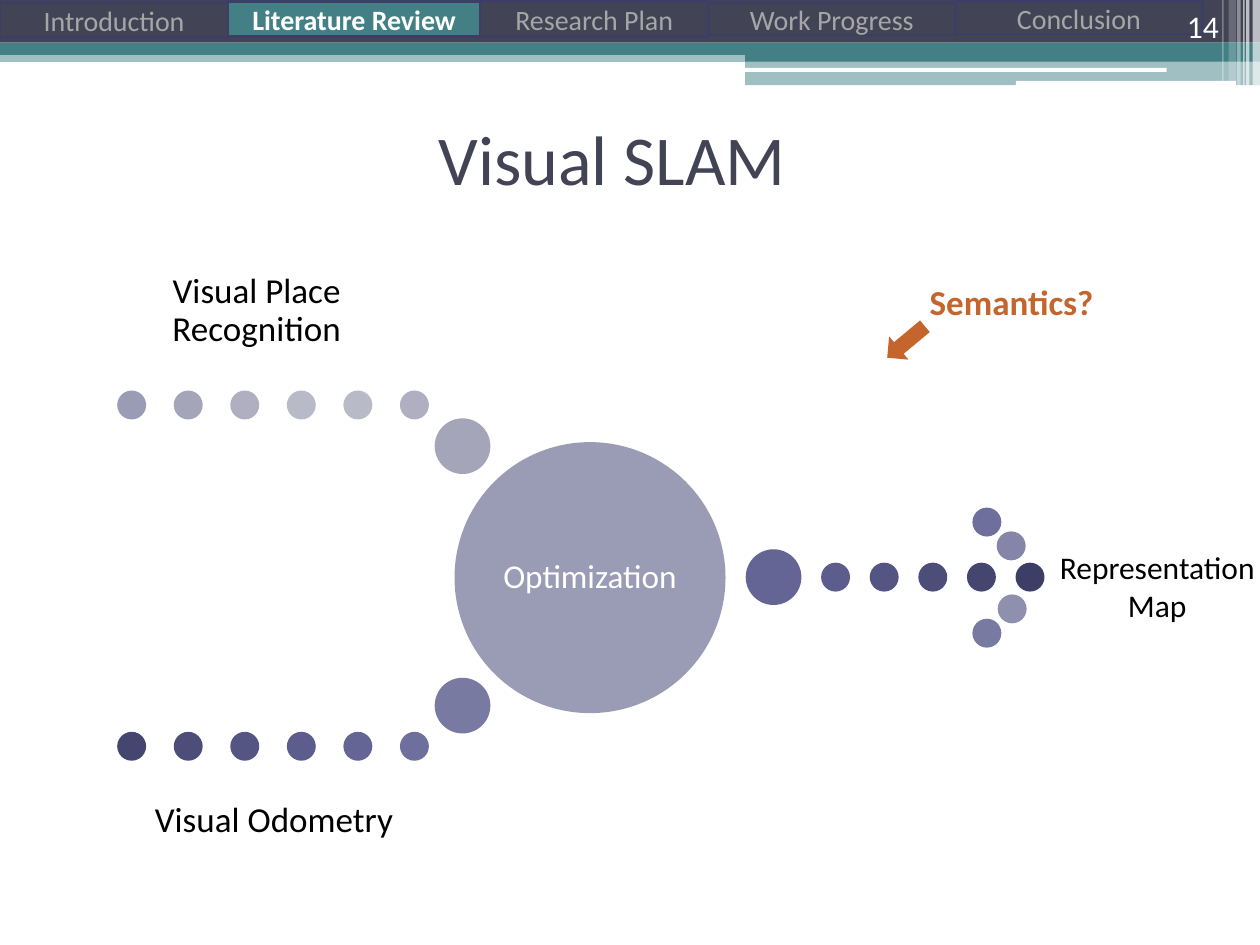
import pptx
import pptx.dml.color
import pptx.enum.shapes
import pptx.enum.text
import pptx.oxml
import pptx.oxml.ns
import pptx.util
from pptx.util import Cm

SHAPE = pptx.enum.shapes.MSO_SHAPE
ALIGN = pptx.enum.text.PP_ALIGN
ANCHOR = pptx.enum.text.MSO_ANCHOR

COLORS = {
    "slate": "424456", "teal": "438086", "white": "FFFFFF", "black": "000000",
    "navy": "3D3E66", "muted": "A6A6A6", "orange": "C4652D",
}
# Dot shades from dark to light
SHADES = ["3D3E66", "454670", "4C4D79", "545583", "5C5D8C", "646595", "6E6F9C",
          "797AA2", "8485A8", "8F90AE", "9A9BB4", "A5A5BA", "AFAFC1", "B9BAC8"]
DOT, JOINT, HUB = 0.53, 1.07, 5.41


def rgb(color):
    return pptx.dml.color.RGBColor.from_string(color)


def within(box, left, top, width, height):
    """Turn a part's place inside a box into a place on the slide."""
    return box[0] + left, box[1] + top, width, height


def add_shape(slide, kind, box, fill=None, line=None, opacity=100):
    shape = slide.shapes.add_shape(kind, *map(Cm, box))
    shape.shadow.inherit = False
    if fill:
        shape.fill.solid()
        shape.fill.fore_color.rgb = rgb(fill)
        if opacity < 100:
            color = shape.fill._xPr.find(".//" + pptx.oxml.ns.qn("a:srgbClr"))
            alpha = pptx.oxml.parse_xml(
                f'<a:alpha {pptx.oxml.ns.nsdecls("a")} val="{opacity * 1000}"/>')
            color.append(alpha)
    else:
        shape.fill.background()
    if line:
        shape.line.color.rgb = rgb(line)
        shape.line.width = pptx.util.Pt(1.5)
    else:
        shape.line.fill.background()
    return shape


def write(shape, text, size, color, align=ALIGN.CENTER, anchor=ANCHOR.MIDDLE,
          bold=False, inset=None, spacing=None):
    frame = shape.text_frame
    frame.word_wrap = True
    frame.vertical_anchor = anchor
    if inset is not None:
        frame.margin_left = frame.margin_right = Cm(inset)
        frame.margin_top = frame.margin_bottom = Cm(inset)
    paragraph = frame.paragraphs[0]
    paragraph.alignment = align
    if spacing:
        paragraph.line_spacing = spacing
    run = paragraph.add_run()
    run.text = text
    run.font.name = "Calibri"
    run.font.size = pptx.util.Pt(size)
    run.font.bold = bold
    run.font.color.rgb = rgb(color)


def add_label(slide, box, text, size, color, **style):
    write(slide.shapes.add_textbox(*map(Cm, box)), text, size, color, **style)


def add_dot(slide, box, left, top, shade, size=DOT):
    color = SHADES[shade]
    add_shape(slide, SHAPE.OVAL, within(box, left, top, size, size), color, color)


def add_banner(slide, box):
    slate, teal, white = COLORS["slate"], COLORS["teal"], COLORS["white"]
    # Bands across the top, then the raised block on the right
    for place, color, opacity in [
        ((0, 1.02, 25.4, 0.23), teal, 50),
        ((0, 0, 25.4, 0.86), slate, 100),
        ((0, 0.86, 25.4, 0.25), teal, 100),
        ((15.02, 0.99, 10.38, 0.25), teal, 100),
        ((15.02, 1.22, 10.38, 0.5), teal, 50),
    ]:
        add_shape(slide, SHAPE.RECTANGLE, within(box, *place), color, opacity=opacity)
    for place in [(15.02, 1.37, 8.5, 0.08), (20.48, 1.63, 4.44, 0.1)]:
        add_shape(slide, SHAPE.ROUNDED_RECTANGLE, within(box, *place), white)
    # Fading stripes at the right edge
    for left, width, height, opacity in [
        (25.25, 0.15, 1.73, 65), (25.12, 0.07, 1.73, 65), (25.06, 0.03, 1.73, 60),
        (24.94, 0.07, 1.73, 40), (24.77, 0.15, 1.63, 20), (24.64, 0.03, 1.63, 30),
    ]:
        add_shape(slide, SHAPE.RECTANGLE, within(box, left, 0, width, height),
                  white, opacity=opacity)


def add_section_tabs(slide, box, current):
    left = 0
    for section, top, width, height in [
        ("Introduction", 0.05, 4.6, 0.71),
        ("Literature Review", 0.03, 5.08, 0.71),
        ("Research Plan", 0.03, 4.6, 0.71),
        ("Work Progress", 0.05, 4.98, 0.66),
        ("Conclusion", 0.03, 4.98, 0.66),
    ]:
        active = section == current
        tab = add_shape(slide, SHAPE.RECTANGLE, within(box, left, top, width, height),
                        COLORS["teal"] if active else None, COLORS["navy"])
        write(tab, section, 16, COLORS["white" if active else "muted"], bold=active)
        left += width


def add_title(slide, box, text):
    title = slide.shapes.title
    title.left, title.top, title.width, title.height = map(Cm, box)
    write(title, text, 40, COLORS["slate"])


def add_input(slide, box, text, label, dots_top, joint_top, shades):
    """A row of dots ending in a larger joint, with its label."""
    *row, joint = shades
    for i, shade in enumerate(row):
        add_dot(slide, box, 1.14 * i, dots_top, shade)
    add_dot(slide, box, 6.4, joint_top, joint, JOINT)
    add_label(slide, within(box, *label), text, 20, COLORS["black"],
              anchor=ANCHOR.BOTTOM, inset=0, spacing=0.9)


def add_hub(slide, box, text):
    add_dot(slide, box, 0, 0, 10, HUB)
    add_label(slide, within(box, 0.79, 0.79, 3.83, 3.83), text, 19, COLORS["white"],
              inset=0.08, spacing=0.9)


def add_output(slide, box, text):
    """A dotted arrow from the hub to the result."""
    add_dot(slide, box, 0, 0.84, 5, JOINT)
    for i in range(5):
        add_dot(slide, box, 1.52 + 0.98 * i, 1.11, 4 - i)
    # Arrowhead wings
    for left, top, shade in [(4.57, 0, 6), (4.57, 2.24, 7), (5.06, 0.48, 8), (5.08, 1.75, 9)]:
        add_dot(slide, box, left, top, shade)
    add_label(slide, within(box, 5.92, 0.66, 4.7, 1.8), text, 18, COLORS["black"],
              anchor=ANCHOR.TOP)


def add_question(slide, box, text):
    add_label(slide, within(box, 0.53, 0, 4.22, 1.12), text, 20, COLORS["orange"],
              align=ALIGN.LEFT, anchor=ANCHOR.TOP, bold=True)
    arrow = add_shape(slide, SHAPE.DOWN_ARROW, within(box, 0, 0.86, 0.61, 0.99),
                      COLORS["orange"])
    arrow.rotation = 50.2


def main():
    deck = pptx.Presentation()
    deck.slide_width, deck.slide_height = Cm(25.4), Cm(19.05)
    slide = deck.slides.add_slide(deck.slide_layouts[5])

    # Header
    add_banner(slide, (0, 0, 25.4, 1.73))
    add_section_tabs(slide, (0, 0, 24.24, 0.76), "Literature Review")
    add_title(slide, (0.91, 1.7, 22.86, 2.97), "Visual SLAM")
    add_label(slide, (22.71, 0, 2.11, 1.02), "14", 18, COLORS["white"],
              align=ALIGN.RIGHT, anchor=ANCHOR.BOTTOM)

    # Diagram: two inputs, the hub and the result
    add_output(slide, (15.06, 10.26, 10.62, 2.77), "Representation Map")
    add_hub(slide, (9.19, 8.94, HUB, HUB), "Optimization")
    add_input(slide, (2.39, 5.66, 7.47, 3.87), "Visual Place Recognition",
              (0.23, 0, 5.11, 1.37), 2.24, 2.8, [10, 11, 12, 13, 13, 12, 11])
    add_input(slide, (2.39, 13.69, 7.47, 3.25), "Visual Odometry",
              (0, 2.03, 6.27, 1.22), 1.09, 0, range(1, 8))
    add_question(slide, (17.96, 5.54, 4.75, 1.85), "Semantics?")

    deck.save("out.pptx")


if __name__ == "__main__":
    main()
